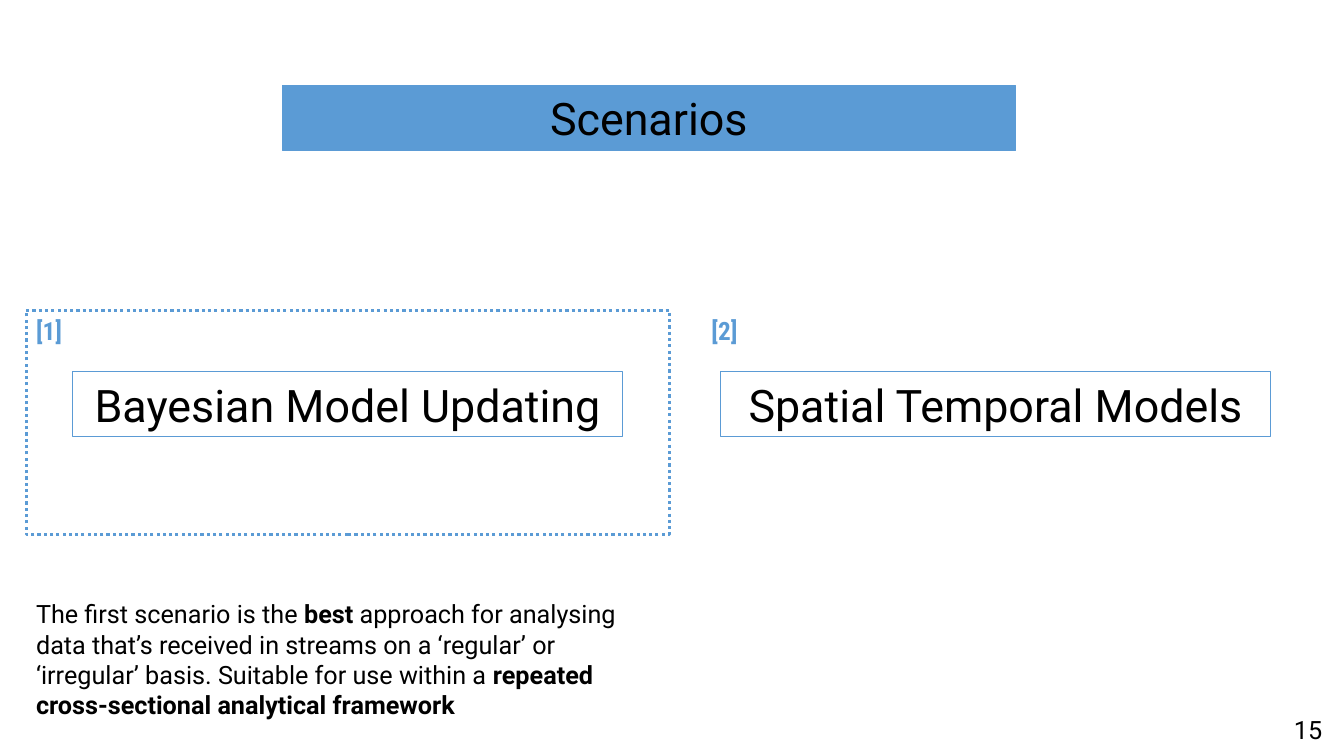
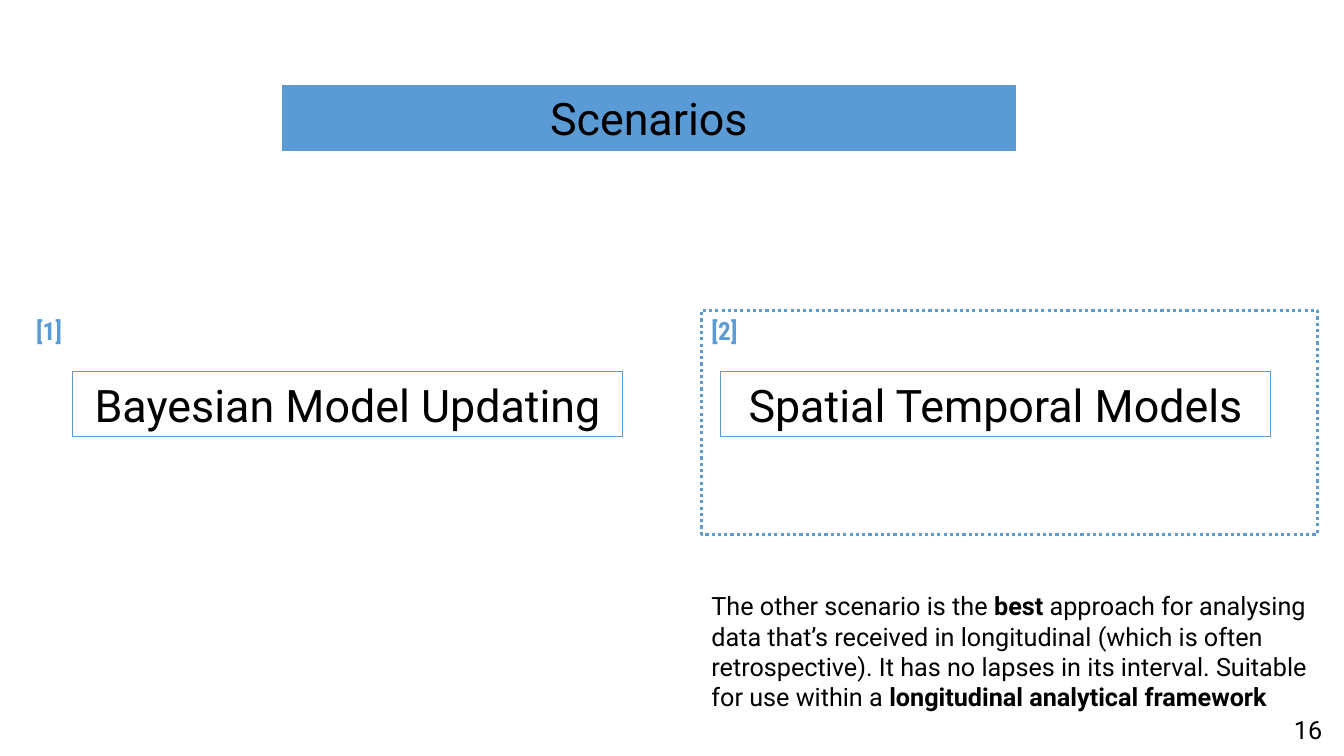
from pptx import Presentation
from pptx import util as u
from pptx.dml import color
from pptx.enum import dml, shapes, text

COLORS = {"blue": "5B9BD5", "black": "000000"}
LABEL_FONT = "Roboto Condensed"
FRAME_TOP, FRAME_HEIGHT = 7.82, 5.64
CARD_TOP, CARD_WIDTH, BAR_HEIGHT = 9.37, 13.87, 1.63

SCENARIOS = [
    {"label": "[1]", "name": "Bayesian Model Updating", "left": 0.66, "card": 1.83},
    {"label": "[2]", "name": "Spatial Temporal Models", "left": 17.68, "card": 18.16},
]
PAGES = [
    {"number": 15, "chosen": 0, "frame": 16.21, "top": 14.96, "width": 16.26,
     "note": "The first scenario is the *best* approach for analysing data that’s "
             "received in streams on a ‘regular’ or ‘irregular’ basis. Suitable for use "
             "within a *repeated cross-sectional analytical framework*"},
    {"number": 16, "chosen": 1, "frame": 15.52, "top": 14.76, "width": 15.88,
     "note": "The other scenario is the *best* approach for analysing data that’s "
             "received in longitudinal (which is often retrospective). It has no lapses "
             "in its interval. Suitable for use within a *longitudinal analytical framework*"},
]


def rgb(name):
    return color.RGBColor.from_string(COLORS[name])


def write(box, content, size=18, font="Roboto", ink="black", bold=False,
          align=text.PP_ALIGN.LEFT, anchor=text.MSO_ANCHOR.TOP):
    """Parts of the content between asterisks are bold."""
    frame = box.text_frame
    frame.word_wrap = True
    frame.auto_size = text.MSO_AUTO_SIZE.NONE
    frame.vertical_anchor = anchor
    para = frame.paragraphs[0]
    para.alignment = align
    for index, part in enumerate(content.split("*")):
        if not part:
            continue
        span = para.add_run()
        span.text = part
        span.font.size = u.Pt(size)
        span.font.name = font
        span.font.bold = bold or index % 2 == 1
        span.font.color.rgb = rgb(ink)


class Deck:
    def __init__(self):
        self.deck = Presentation()
        self.deck.slide_width = u.Cm(33.87)
        self.deck.slide_height = u.Cm(19.05)
        self.page = None

    def add_page(self, title):
        self.page = self.deck.slides.add_slide(self.deck.slide_layouts[5])
        bar = self.page.shapes.title
        bar.left, bar.top = u.Cm(7.11), u.Cm(2.16)
        bar.width, bar.height = u.Cm(18.49), u.Cm(BAR_HEIGHT)
        bar.fill.solid()
        bar.fill.fore_color.rgb = rgb("blue")
        self.outline(bar)
        self.heading(bar, title)

    def heading(self, box, content):
        write(box, content, size=32, align=text.PP_ALIGN.CENTER,
              anchor=text.MSO_ANCHOR.MIDDLE)

    def outline(self, box, width=0.75, dash=None):
        box.line.color.rgb = rgb("blue")
        box.line.width = u.Pt(width)
        if dash:
            box.line.dash_style = dash

    def rectangle(self, *place):
        box = self.page.shapes.add_shape(
            shapes.MSO_SHAPE.RECTANGLE, *map(u.Cm, place))
        box.shadow.inherit = False
        box.fill.background()
        return box

    def textbox(self, content, *place, **style):
        box = self.page.shapes.add_textbox(*map(u.Cm, place))
        write(box, content, **style)

    def scenario(self, label, name, left, card, frame=None):
        style = {"font": LABEL_FONT, "ink": "blue", "bold": True}
        if frame:
            box = self.rectangle(left, FRAME_TOP, frame, FRAME_HEIGHT)
            self.outline(box, 2.25, dml.MSO_LINE.ROUND_DOT)
            write(box, label, **style)
        else:
            self.textbox(label, left, FRAME_TOP, 16.2, FRAME_HEIGHT, **style)
        box = self.rectangle(card, CARD_TOP, CARD_WIDTH, BAR_HEIGHT)
        self.outline(box)
        self.heading(box, name)

    def page_number(self, number):
        self.textbox(str(number), 32.36, 17.88, 1.5, 0.41)

    def save(self):
        self.deck.save("out.pptx")


def main():
    deck = Deck()
    for page in PAGES:
        deck.add_page("Scenarios")
        for index, scenario in enumerate(SCENARIOS):
            chosen = index == page["chosen"]
            deck.scenario(**scenario, frame=page["frame"] if chosen else None)
        left = SCENARIOS[page["chosen"]]["left"]
        deck.textbox(page["note"], left, page["top"], page["width"], 3.33)
        deck.page_number(page["number"])
    deck.save()


if __name__ == "__main__":
    main()
